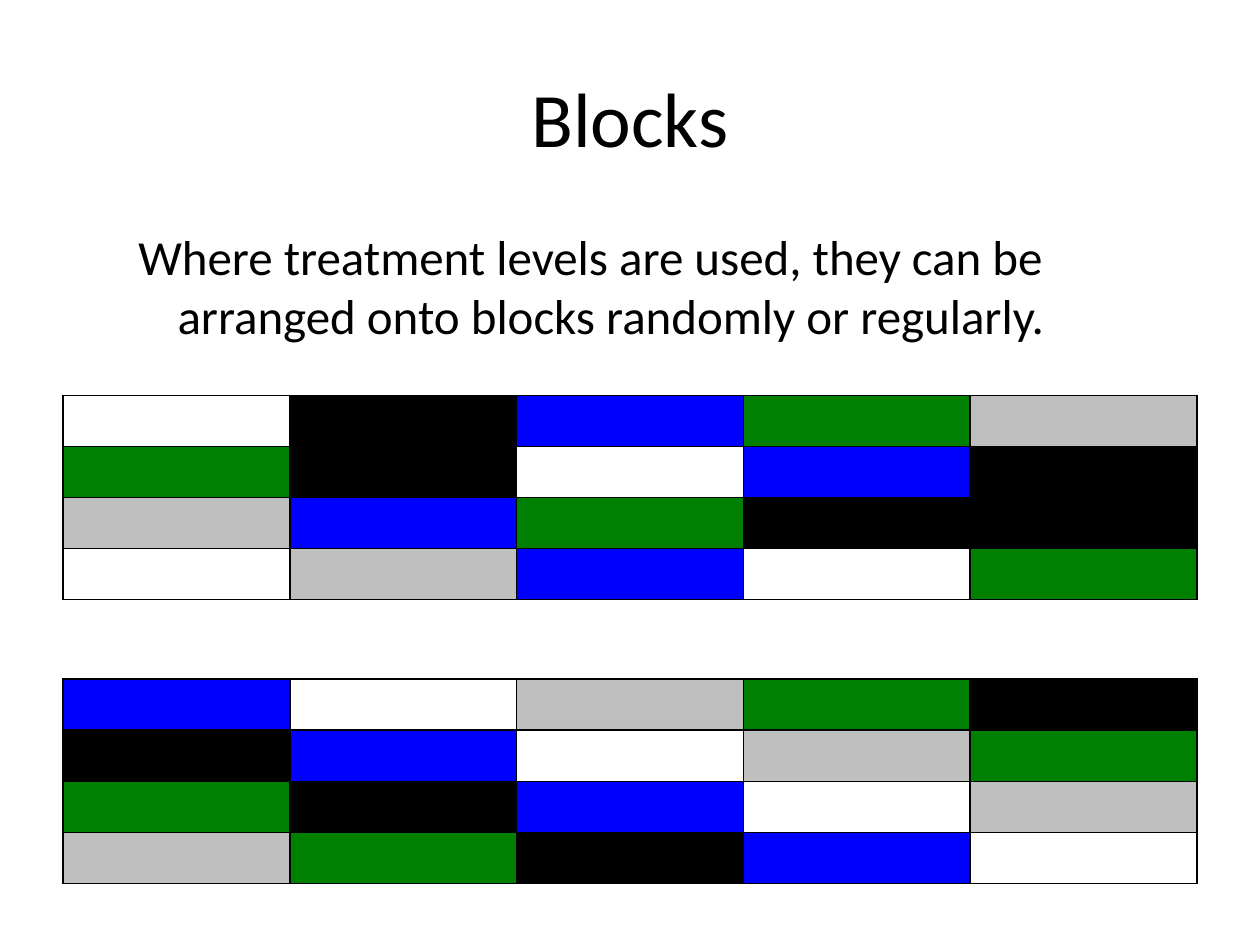
from lxml import etree
from pptx import Presentation
from pptx import util as u
from pptx.dml.color import RGBColor
from pptx.enum import text as t
from pptx.oxml.ns import qn

Cm, Pt = u.Cm, u.Pt
HUES = {"W": "FFFFFF", "K": "000000", "B": "0000FF", "G": "008000", "S": "BFBFBF"}
FONT = "Calibri"
LEFT, WIDE = Cm(1.27), Cm(22.86)
ROW = Cm(1.03)

# One letter per block: levels placed at random, then in a regular cycle
RANDOM = ["WKBGS", "GKWBK", "SBGKK", "WSBWG"]
CYCLE = "BWSGK"
REGULAR = [CYCLE[-i:] + CYCLE[:-i] if i else CYCLE for i in range(4)]


def hue(key):
    return RGBColor.from_string(HUES[key])


def add_text(slide, words, top, high, size):
    box = slide.shapes.add_textbox(LEFT, top, WIDE, high)
    frame = box.text_frame
    frame.word_wrap = True
    frame.text = words
    para = frame.paragraphs[0]
    font = para.runs[0].font
    font.name, font.size, font.color.rgb = FONT, Pt(size), hue("K")
    return frame, para


def add_edges(cell):
    props = cell._tc.get_or_add_tcPr()
    for side in ("lnL", "lnR", "lnT", "lnB"):
        line = etree.SubElement(props, qn("a:" + side), w=str(Pt(1)))
        fill = etree.SubElement(line, qn("a:solidFill"))
        etree.SubElement(fill, qn("a:srgbClr"), val=HUES["K"])


def add_grid(slide, plan, top):
    rows, cols = len(plan), len(plan[0])
    grid = slide.shapes.add_table(rows, cols, LEFT, top, WIDE, ROW * rows).table
    grid.first_row = grid.horz_banding = False
    for r, keys in enumerate(plan):
        for c, key in enumerate(keys):
            cell = grid.cell(r, c)
            cell.margin_top = cell.margin_bottom = 0
            add_edges(cell)
            cell.fill.solid()
            cell.fill.fore_color.rgb = hue(key)


def main():
    deck = Presentation()
    deck.slide_width, deck.slide_height = Cm(25.4), Cm(19.05)
    slide = deck.slides.add_slide(deck.slide_layouts[6])

    # Title
    frame, para = add_text(slide, "Blocks", Cm(0.76), Cm(3.18), 44)
    frame.vertical_anchor = t.MSO_ANCHOR.MIDDLE
    para.alignment = t.PP_ALIGN.CENTER

    # Statement with a hanging indent
    words = ("Where treatment levels are used, they can be "
             "arranged onto blocks randomly or regularly.")
    frame, para = add_text(slide, words, Cm(4.45), Cm(12.57), 28)
    para.space_before = Pt(5.6)
    props = para._p.get_or_add_pPr()
    props.set("marL", str(Cm(2.06)))
    props.set("indent", str(-Cm(0.79)))

    # Random and regular layouts
    add_grid(slide, RANDOM, Cm(7.97))
    add_grid(slide, REGULAR, Cm(13.69))

    deck.save("out.pptx")


if __name__ == "__main__":
    main()
